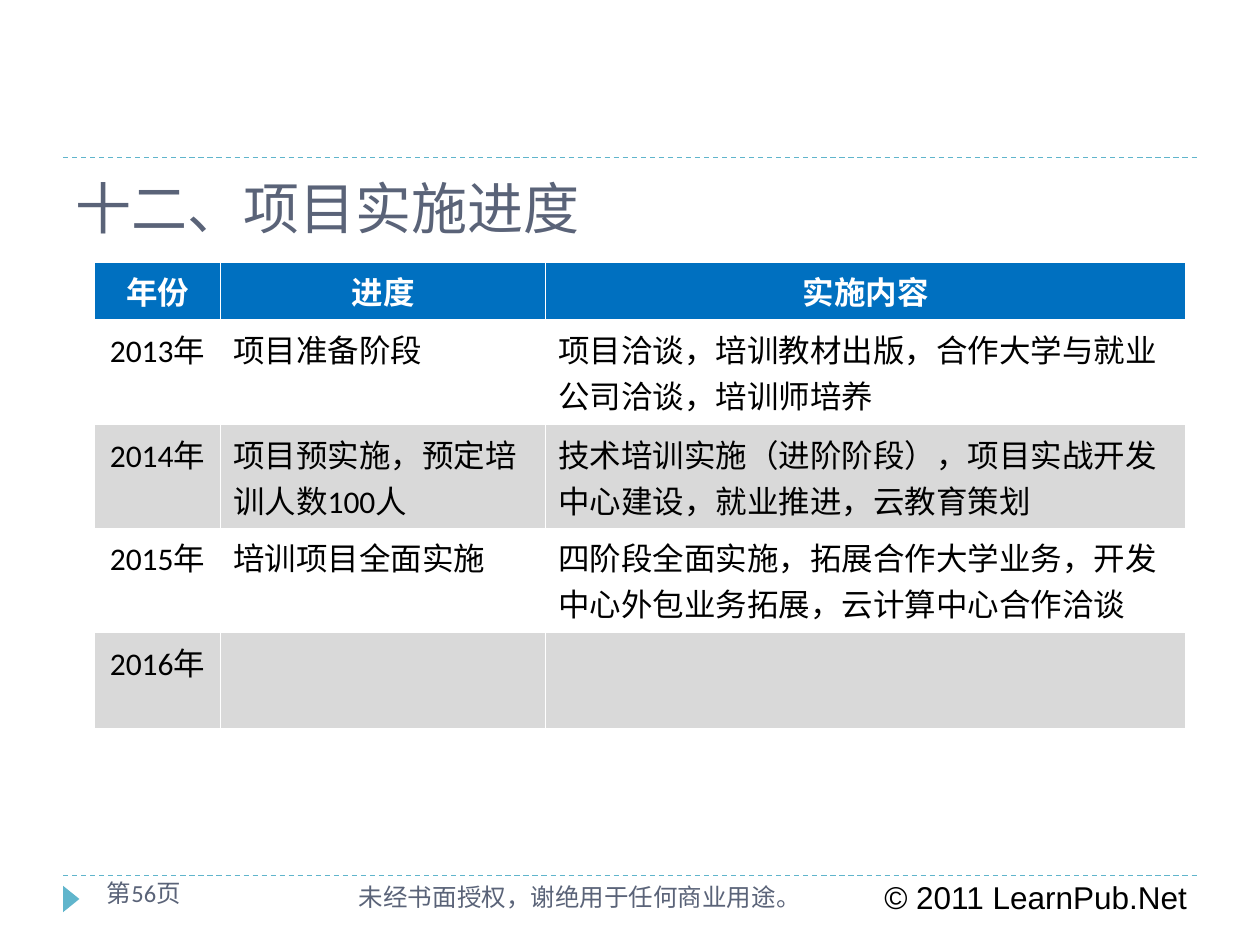
"""Build the project schedule slide with its year table and footer."""
from lxml.etree import SubElement as Sub
from pptx import Presentation
from pptx.dml.color import RGBColor as Rgb
from pptx.enum.dml import MSO_LINE_DASH_STYLE as Dash
from pptx.enum.shapes import MSO_CONNECTOR as Link, MSO_SHAPE as Kind
from pptx.enum.text import MSO_ANCHOR as Anchor, PP_ALIGN as Align
from pptx.oxml import parse_xml
from pptx.oxml.ns import nsdecls, qn
from pptx.util import Inches, Pt

theme = {
    "rule": "60B5CC", "soft": "5A6378", "head": "0070C0", "band": "D9D9D9",
    "white": "FFFFFF", "black": "000000",
    "title": 32, "body": 18, "foot": 14,
    "main": "Calibri", "slab": "Roboto Slab", "sans": "Arial",
}


def write(frame, text, size, face, tone, bold=False, align=Align.LEFT):
    frame.word_wrap = True
    frame.vertical_anchor = Anchor.TOP
    para = frame.paragraphs[0]
    para.alignment = align
    run = para.add_run()
    run.text = text
    font = run.font
    font.size, font.name, font.bold = Pt(theme[size]), theme[face], bold
    font.color.rgb = Rgb.from_string(theme[tone])


def edge(cell, sides):
    props = cell._tc.get_or_add_tcPr()
    for spot, (side, width) in enumerate(sides.items()):
        props.insert(spot, parse_xml(
            f'<a:{side} {nsdecls("a")} w="{int(Pt(width))}"><a:solidFill>'
            f'<a:srgbClr val="{theme["white"]}"/></a:solidFill></a:{side}>'))


deck = Presentation()
deck.slide_width, deck.slide_height = Inches(10), Inches(7.5)
slide = deck.slides.add_slide(deck.slide_layouts[5])
shapes = slide.shapes

for y in (6.95, 1.25):
    rule = shapes.add_connector(
        Link.STRAIGHT, Inches(0.5), Inches(y), Inches(9.5), Inches(y))
    rule.line.color.rgb = Rgb.from_string(theme["rule"])
    rule.line.width = Pt(0.75)
    rule.line.dash_style = Dash.DASH
    Sub(rule._element.spPr, qn("a:effectLst"))

mark = shapes.add_shape(
    Kind.ISOSCELES_TRIANGLE, Inches(0.46), Inches(7.07), Inches(0.21), Inches(0.13))
mark.rotation = 90
mark.shadow.inherit = False
mark.fill.solid()
mark.fill.fore_color.rgb = Rgb.from_string(theme["rule"])
mark.line.fill.background()

notes = [
    (6.92, 6.92, 2.67, "© 2011 LearnPub.Net", "body", "sans", "black"),
    (2.75, 6.95, 4, "未经书面授权，谢绝用于任何商业用途。", "foot", "main", "soft"),
    (0.75, 6.92, 1.66, "第56页", "foot", "main", "soft"),
]
for x, y, width, *style in notes:
    box = shapes.add_textbox(Inches(x), Inches(y), Inches(width), Inches(0.4))
    write(box.text_frame, *style)

title = shapes.title
title.left, title.top = Inches(0.5), Inches(1.33)
title.width, title.height = Inches(9), Inches(0.5)
write(title.text_frame, "十二、项目实施进度", "title", "slab", "soft")

rows = [
    ("年份", "进度", "实施内容"),
    ("2013年", "项目准备阶段", "项目洽谈，培训教材出版，合作大学与就业公司洽谈，培训师培养"),
    ("2014年", "项目预实施，预定培训人数100人",
     "技术培训实施（进阶阶段），项目实战开发中心建设，就业推进，云教育策划"),
    ("2015年", "培训项目全面实施",
     "四阶段全面实施，拓展合作大学业务，开发中心外包业务拓展，云计算中心合作洽谈"),
    ("2016年", "", ""),
    ("", "", ""),
]
widths = (1, 2.58, 5.08)
highs = (0.46, 0.83, 0.82, 0.83, 0.76, 0.4)
table = shapes.add_table(
    len(rows), len(widths), Inches(0.75), Inches(2.08),
    Inches(sum(widths)), Inches(sum(highs))).table
for col, width in zip(table.columns, widths):
    col.width = Inches(width)
for r, (row, high) in enumerate(zip(rows, highs)):
    table.rows[r].height = Inches(high)
    top = r == 0
    fill = "head" if top else "white" if r % 2 else "band"
    for c, text in enumerate(row):
        cell = table.cell(r, c)
        cell.fill.solid()
        cell.fill.fore_color.rgb = Rgb.from_string(theme[fill])
        edge(cell, {"lnL": 0.45, "lnR": 0.45, "lnT": 1.47 if r == 1 else 0.45,
                    "lnB": 1.47 if top else 0.45})
        if text:
            write(cell.text_frame, text, "body", "main", "white" if top else "black",
                  top, Align.CENTER if top or c == 0 else Align.LEFT)

deck.save("out.pptx")
